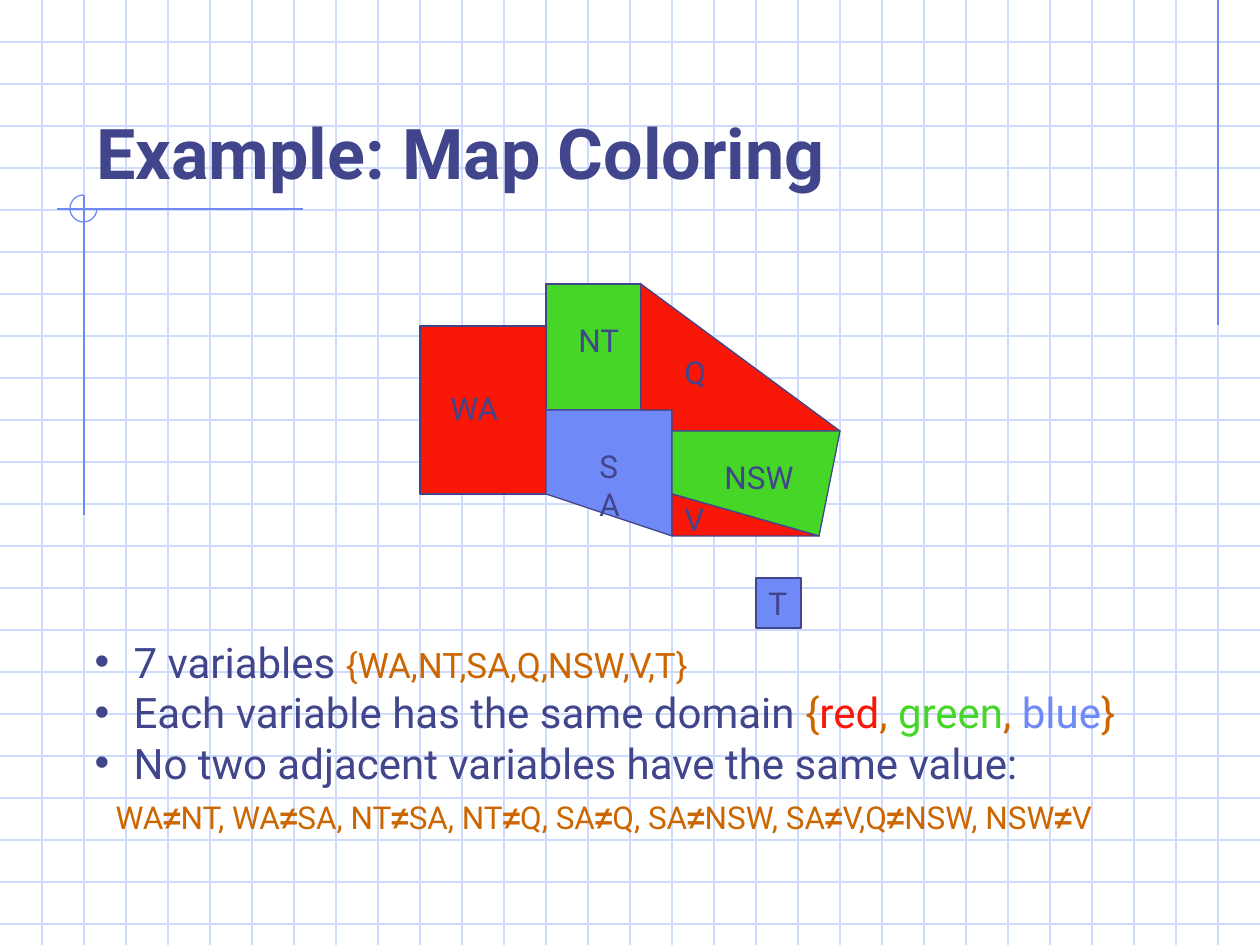
from lxml.etree import SubElement
from pptx import Presentation
from pptx.dml.color import RGBColor
from pptx.enum.shapes import MSO_CONNECTOR, MSO_SHAPE
from pptx.enum.text import MSO_ANCHOR, MSO_AUTO_SIZE, PP_ALIGN
from pptx.oxml.ns import qn
from pptx.util import Emu, Pt

COLORS = {
    "grid": "CFDBFD",
    "ink": "40458C",
    "orange": "CC6600",
    "red": "F81706",
    "green": "45D628",
    "blue": "6F89F7",
}
WIDTH, HEIGHT, GRID_STEP = 1260, 945, 42

# Corners shared by the regions of the map
LEFT, NORTH_X, QUEENSLAND_X, COAST_X, EAST = 420, 546, 641, 672, 840
TOP, WEST_TOP, SOUTH_TOP, BORDER, WEST_BOTTOM, BOTTOM = 284, 326, 410, 431, 494, 536
SOUTHEAST = (819, BOTTOM)

RECTANGLES = [
    ("red", LEFT, WEST_TOP, NORTH_X, WEST_BOTTOM),
    ("green", NORTH_X, TOP, QUEENSLAND_X, SOUTH_TOP),
]
POLYGONS = [
    ("blue", [(NORTH_X, SOUTH_TOP), (COAST_X, SOUTH_TOP), (COAST_X, BOTTOM),
              (NORTH_X, WEST_BOTTOM)]),
    ("red", [(QUEENSLAND_X, TOP), (EAST, BORDER), (COAST_X, BORDER),
             (COAST_X, SOUTH_TOP), (QUEENSLAND_X, SOUTH_TOP)]),
    ("green", [(COAST_X, BORDER), (COAST_X, WEST_BOTTOM), SOUTHEAST, (EAST, BORDER)]),
    ("red", [(COAST_X, WEST_BOTTOM), (COAST_X, BOTTOM), SOUTHEAST]),
]
# Text, left, top, width, wrap
LABELS = [
    ("WA", 438, 383, 74, False),
    ("NT", 566, 315, 67, False),
    ("SA", 587, 441, 62, True),
    ("Q", 672, 347, 49, False),
    ("NSW", 712, 452, 96, False),
    ("V", 672, 494, 44, False),
]
LABEL_HEIGHT = 50

BULLETS = [
    [("7 variables ", "ink", 24), ("{WA,NT,SA,Q,NSW,V,T}", "orange", 20)],
    [("Each variable has the same domain ", "ink", 24), ("{", "orange", 24),
     ("red", "red", 24), (", ", "orange", 24), ("green", "green", 24),
     (", ", "orange", 24), ("blue", "blue", 24), ("}", "orange", 24)],
    [("No two adjacent variables have the same value:", "ink", 24)],
]
CONSTRAINTS = "WA≠NT, WA≠SA, NT≠SA, NT≠Q, SA≠Q, SA≠NSW, SA≠V,Q≠NSW, NSW≠V"


def px(length):
    return Emu(round(length * 914400 / 126))


def rgb(name):
    return RGBColor.from_string(COLORS[name])


def add_text(paragraph, text, *, size=18, color="ink", bold=False, font="Roboto"):
    run = paragraph.add_run()
    run.text = text
    run.font.size = Pt(size)
    run.font.name = font
    run.font.bold = bold
    run.font.color.rgb = rgb(color)


def add_line(shapes, start, end, color):
    line = shapes.add_connector(MSO_CONNECTOR.STRAIGHT, *map(px, start + end))
    line.line.color.rgb = rgb(color)
    line.line.width = Pt(0.75)
    SubElement(line._element.spPr, qn("a:effectLst"))


def style_shape(shape, fill=None, line="ink"):
    shape.shadow.inherit = False
    if fill:
        shape.fill.solid()
        shape.fill.fore_color.rgb = rgb(fill)
    else:
        shape.fill.background()
    shape.line.color.rgb = rgb(line)
    shape.line.width = Pt(0.75)


def add_rectangle(shapes, fill, left, top, right, bottom):
    shape = shapes.add_shape(
        MSO_SHAPE.RECTANGLE, px(left), px(top), px(right - left), px(bottom - top))
    style_shape(shape, fill)
    return shape


def add_polygon(shapes, fill, points):
    start, *others = [(px(x), px(y)) for x, y in points]
    builder = shapes.build_freeform(*start)
    builder.add_line_segments(others, close=True)
    style_shape(builder.convert_to_shape(), fill)


def write_label(shape, text, wrap=False):
    frame = shape.text_frame
    frame.word_wrap = wrap
    frame.vertical_anchor = MSO_ANCHOR.TOP
    frame.paragraphs[0].alignment = PP_ALIGN.LEFT
    add_text(frame.paragraphs[0], text)


def place(placeholder, left, top, width, height, anchor):
    """Move a placeholder in front of everything drawn so far and fix its frame."""
    placeholder.left, placeholder.top = px(left), px(top)
    placeholder.width, placeholder.height = px(width), px(height)
    frame = placeholder.text_frame
    frame.auto_size = MSO_AUTO_SIZE.NONE
    frame.word_wrap = True
    frame.vertical_anchor = anchor
    element = placeholder._element
    element.getparent().append(element)
    return frame


def set_bullet(paragraph, margin, bullet=None):
    properties = paragraph._p.get_or_add_pPr()
    properties.set("marL", str(px(margin)))
    properties.set("indent", str(-px(margin) if bullet else 0))
    if bullet:
        color = SubElement(properties, qn("a:buClr"))
        SubElement(color, qn("a:srgbClr"), val=COLORS["ink"])
        SubElement(properties, qn("a:buChar"), char=bullet)
    else:
        SubElement(properties, qn("a:buNone"))
    paragraph.alignment = PP_ALIGN.LEFT
    paragraph.space_before = Pt(0)


def add_background(slide):
    shapes = slide.shapes.add_group_shape().shapes
    for y in range(GRID_STEP, HEIGHT, GRID_STEP):
        add_line(shapes, (0, y), (WIDTH, y), "grid")
    for x in range(GRID_STEP, WIDTH, GRID_STEP):
        add_line(shapes, (x, 0), (x, HEIGHT), "grid")
    add_line(shapes, (1218, 0), (1218, 325), "blue")
    add_line(shapes, (303, 209), (57, 209), "blue")
    add_line(shapes, (84, 195), (84, 515), "blue")
    arc = shapes.add_shape(MSO_SHAPE.ARC, px(70), px(195), px(27), px(27))
    arc.adjustments[0], arc.adjustments[1] = 0, 162  # from 0 to 270 degrees
    style_shape(arc, line="blue")


def add_title(slide):
    frame = place(slide.shapes.title, 84, 42, 1071, 158, MSO_ANCHOR.BOTTOM)
    frame.paragraphs[0].alignment = PP_ALIGN.LEFT
    add_text(frame.paragraphs[0], "Example: Map Coloring", size=40, bold=True)


def add_list(slide):
    frame = place(slide.placeholders[1], 82, 630, 1130, 214, MSO_ANCHOR.TOP)
    paragraph = frame.paragraphs[0]
    for runs in BULLETS:
        set_bullet(paragraph, 39, "•")
        for text, color, size in runs:
            add_text(paragraph, text, color=color, size=size)
        paragraph = frame.add_paragraph()
    set_bullet(paragraph, 21)
    paragraph.space_before = Pt(6)
    for index, part in enumerate(CONSTRAINTS.split("≠")):
        if index:
            add_text(paragraph, "≠", color="orange", bold=True, font="Arial")
        add_text(paragraph, part, color="orange")


def add_map(slide):
    shapes = slide.shapes.add_group_shape().shapes
    for rectangle in RECTANGLES:
        add_rectangle(shapes, *rectangle)
    for fill, points in POLYGONS:
        add_polygon(shapes, fill, points)
    for text, left, top, width, wrap in LABELS:
        box = shapes.add_textbox(px(left), px(top), px(width), px(LABEL_HEIGHT))
        write_label(box, text, wrap)
    tasmania = add_rectangle(shapes, "blue", 756, 578, 801, 628)
    write_label(tasmania, "T")


def main():
    presentation = Presentation()
    presentation.slide_width, presentation.slide_height = px(WIDTH), px(HEIGHT)
    slide = presentation.slides.add_slide(presentation.slide_layouts[1])
    add_background(slide)
    add_title(slide)
    add_list(slide)
    add_map(slide)
    presentation.save("out.pptx")


if __name__ == "__main__":
    main()
